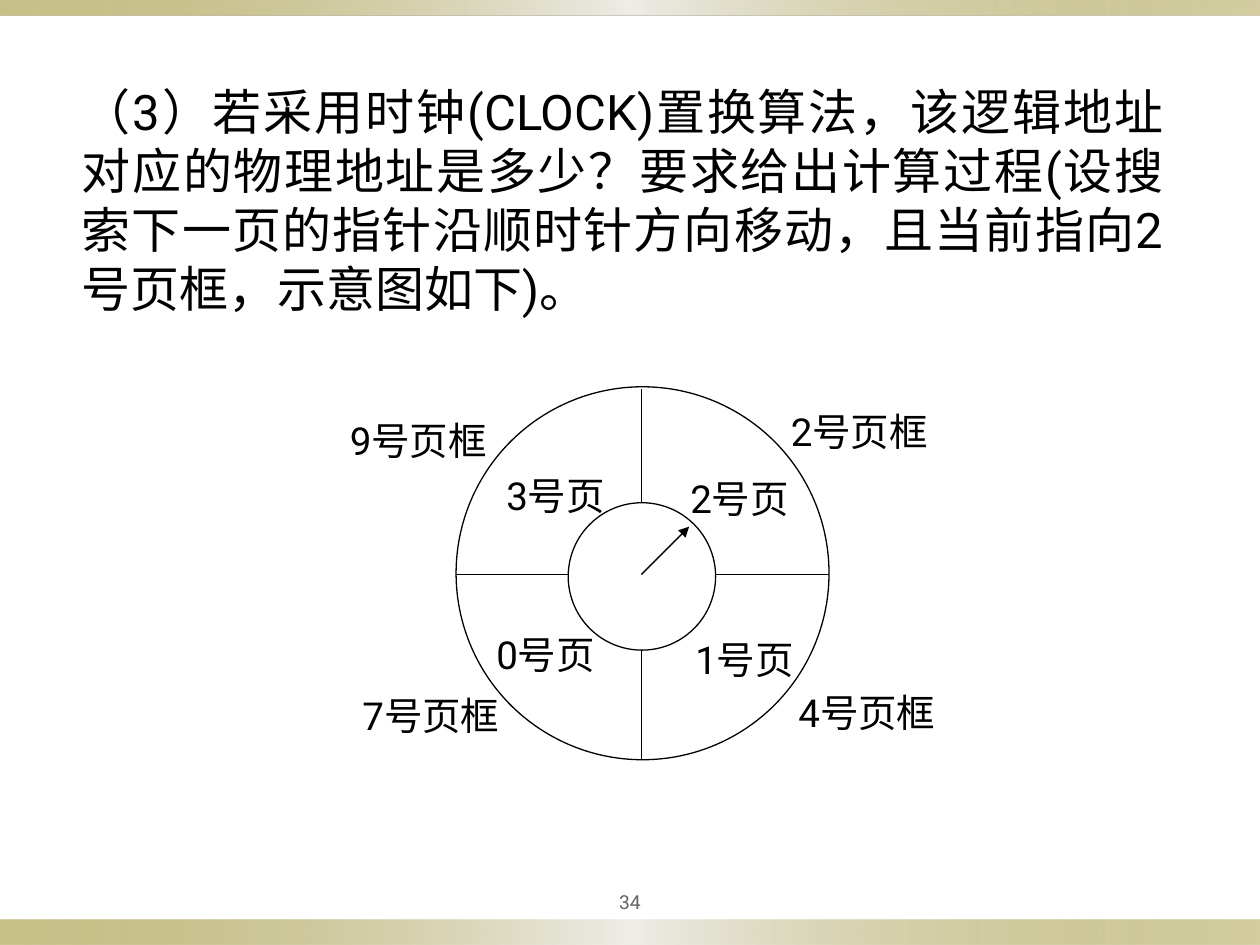
from dataclasses import dataclass

import pptx
import pptx.dml.color
import pptx.enum.shapes
import pptx.enum.text
import pptx.oxml
import pptx.oxml.ns
import pptx.util

# The page is a grid of 100 columns by 75 rows
COLUMNS, ROWS = 100, 75
WIDTH, HEIGHT = pptx.util.Inches(10), pptx.util.Inches(7.5)
FONT = "Roboto"
COLORS = {"ink": "000000", "paper": "FFFFFF", "number": "636363",
          "gold": "918415", "silver": "EEEDE8"}
ALIGN = pptx.enum.text.PP_ALIGN
ANCHOR = pptx.enum.text.MSO_ANCHOR
SHAPE = pptx.enum.shapes.MSO_SHAPE


@dataclass
class Area:
    column: float
    row: float
    columns: float
    rows: float

    def place(self) -> tuple[int, int, int, int]:
        return x(self.column), y(self.row), x(self.columns), y(self.rows)


@dataclass
class Style:
    size: float
    align: ALIGN = ALIGN.JUSTIFY
    color: str = "ink"
    anchor: ANCHOR = ANCHOR.TOP
    inset: tuple[float, float] = (0.1, 0.05)


@dataclass
class Label:
    text: str
    area: Area
    style: Style


def x(columns: float) -> int:
    return round(WIDTH * columns / COLUMNS)


def y(rows: float) -> int:
    return round(HEIGHT * rows / ROWS)


def rgb(name: str) -> pptx.dml.color.RGBColor:
    return pptx.dml.color.RGBColor.from_string(COLORS[name])


def draw_band(page, area: Area) -> None:
    band = page.shapes.add_shape(SHAPE.RECTANGLE, *area.place())
    band.shadow.inherit = False
    band.line.fill.background()
    band.fill.background()
    stops = "".join(
        f'<a:gs pos="{position}000"><a:srgbClr val="{COLORS[color]}">'
        f'<a:alpha val="{alpha}000"/></a:srgbClr></a:gs>'
        for position, color, alpha in
        ((0, "gold", 50), (50, "silver", 100), (100, "gold", 40)))
    gradient = pptx.oxml.parse_xml(
        f'<a:gradFill {pptx.oxml.ns.nsdecls("a")} rotWithShape="1">'
        f'<a:gsLst>{stops}</a:gsLst><a:lin ang="0" scaled="1"/></a:gradFill>')
    properties = band.element.spPr
    properties.replace(properties.find(pptx.oxml.ns.qn("a:noFill")), gradient)


def draw_label(page, label: Label) -> None:
    style = label.style
    box = page.shapes.add_textbox(*label.area.place())
    frame = box.text_frame
    frame.word_wrap = True
    frame.vertical_anchor = style.anchor
    side, end = (pptx.util.Inches(inset) for inset in style.inset)
    frame.margin_left = frame.margin_right = side
    frame.margin_top = frame.margin_bottom = end
    para = frame.paragraphs[0]
    para.alignment = style.align
    span = para.add_run()
    span.text = label.text
    span.font.name = FONT
    span.font.size = pptx.util.Pt(style.size)
    span.font.color.rgb = rgb(style.color)


def draw_circle(page, area: Area) -> None:
    circle = page.shapes.add_shape(SHAPE.OVAL, *area.place())
    circle.shadow.inherit = False
    circle.fill.solid()
    circle.fill.fore_color.rgb = rgb("paper")
    circle.line.color.rgb = rgb("ink")
    circle.line.width = pptx.util.Pt(0.75)


def draw_line(page, start: tuple[float, float], end: tuple[float, float],
              arrow: bool = False) -> None:
    line = page.shapes.add_connector(
        pptx.enum.shapes.MSO_CONNECTOR.STRAIGHT,
        x(start[0]), y(start[1]), x(end[0]), y(end[1]))
    line.line.color.rgb = rgb("ink")
    line.line.width = pptx.util.Pt(0.75)
    namespace = pptx.oxml.ns.nsdecls("a")
    if arrow:
        line.line._get_or_add_ln().append(
            pptx.oxml.parse_xml(f'<a:tailEnd {namespace} type="triangle"/>'))
    line.element.spPr.append(pptx.oxml.parse_xml(f"<a:effectLst {namespace}/>"))


QUESTION = Style(28)
PAGE_NUMBER = Style(11, ALIGN.CENTER, "number", ANCHOR.MIDDLE, (0.05, 0.05))
PAGE_LABEL = Style(22)
FRAME_LABEL = Style(22, ALIGN.CENTER, inset=(0.02, 0.01))

BANDS = [Area(0, 73, COLUMNS, 2), Area(0, 0, COLUMNS, 1.2)]
TEXTS = [
    Label("34", Area(45, 70, 10, 3.1), PAGE_NUMBER),
    Label("（3）若采用时钟(CLOCK)置换算法，该逻辑地址对应的物理地址是多少？"
          "要求给出计算过程(设搜索下一页的指针沿顺时针方向移动，"
          "且当前指向2号页框，示意图如下)。",
          Area(5.5, 6, 87.8, 19.7), QUESTION),
]

# Clock face: outer ring, hub and the centre where the lines cross
RING = Area(36.2, 30.7, 29.6, 29.6)
HUB = Area(45.1, 39.9, 11.7, 11.7)
CENTER = (50.9, 45.6)
HAND = 3.8

# Text, left column and top row of each label on the clock
PAGES = [("0号页", 38.4, 49.6), ("1号页", 54.2, 50),
         ("2号页", 53.8, 37.2), ("3号页", 39.2, 37)]
FRAMES = [("2号页框", 61.8, 32.3), ("4号页框", 62.4, 54.6),
          ("7号页框", 27.8, 54.8), ("9号页框", 26.8, 33)]


def draw_clock(page) -> None:
    middle, center_row = CENTER
    draw_circle(page, RING)
    draw_line(page, (RING.column, center_row),
              (RING.column + RING.columns, center_row))
    draw_line(page, (middle, RING.row + 0.2), (middle, RING.row + RING.rows))
    draw_circle(page, HUB)
    draw_line(page, CENTER, (middle + HAND, center_row - HAND), arrow=True)
    for names, style in ((PAGES, PAGE_LABEL), (FRAMES, FRAME_LABEL)):
        for text, column, row in names:
            draw_label(page, Label(text, Area(column, row, 12.8, 4.6), style))


def main() -> None:
    deck = pptx.Presentation()
    deck.slide_width, deck.slide_height = WIDTH, HEIGHT
    page = deck.slides.add_slide(deck.slide_layouts[6])
    page.background.fill.solid()
    page.background.fill.fore_color.rgb = rgb("paper")
    for area in BANDS:
        draw_band(page, area)
    for label in TEXTS:
        draw_label(page, label)
    draw_clock(page)
    deck.save("out.pptx")


if __name__ == "__main__":
    main()
